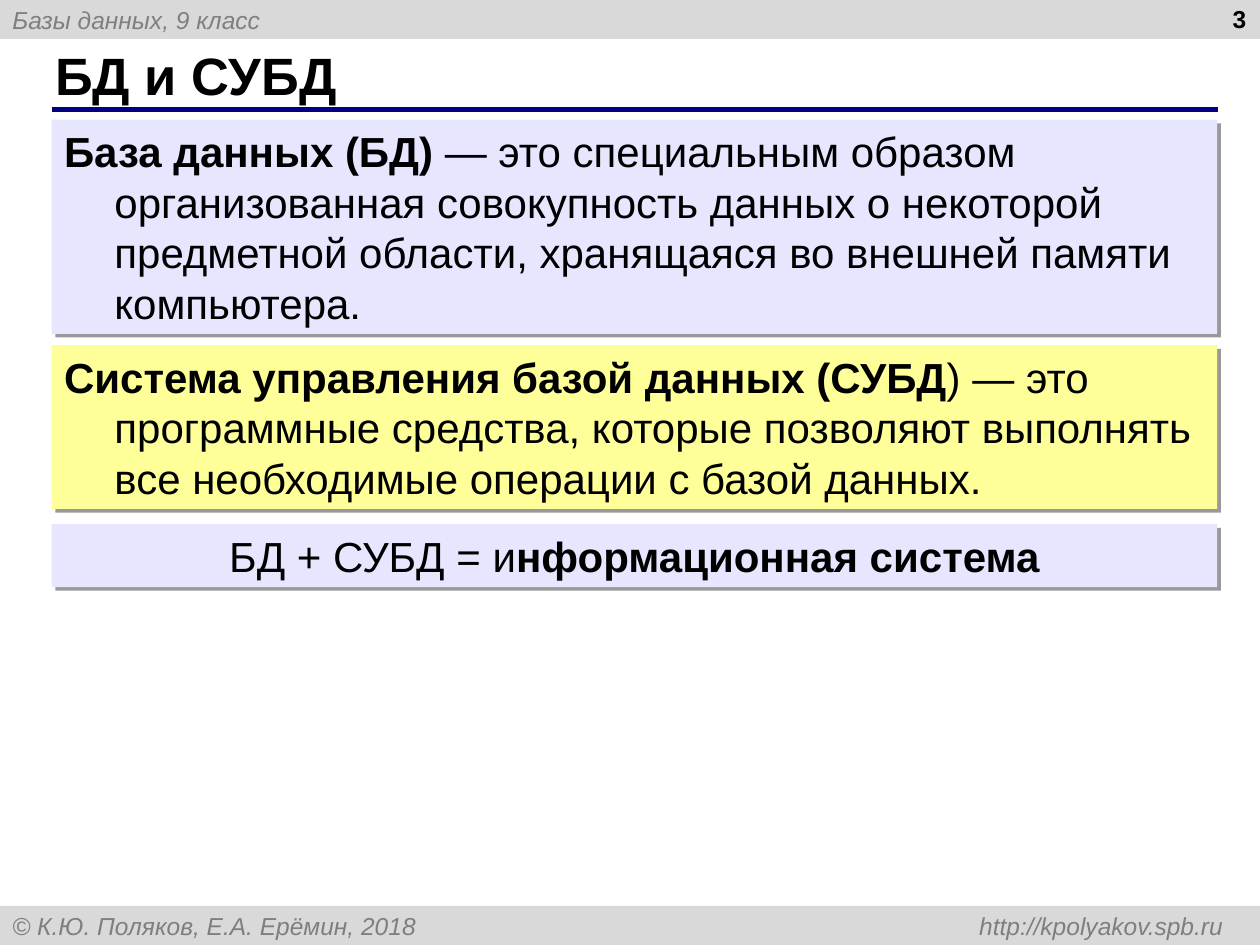
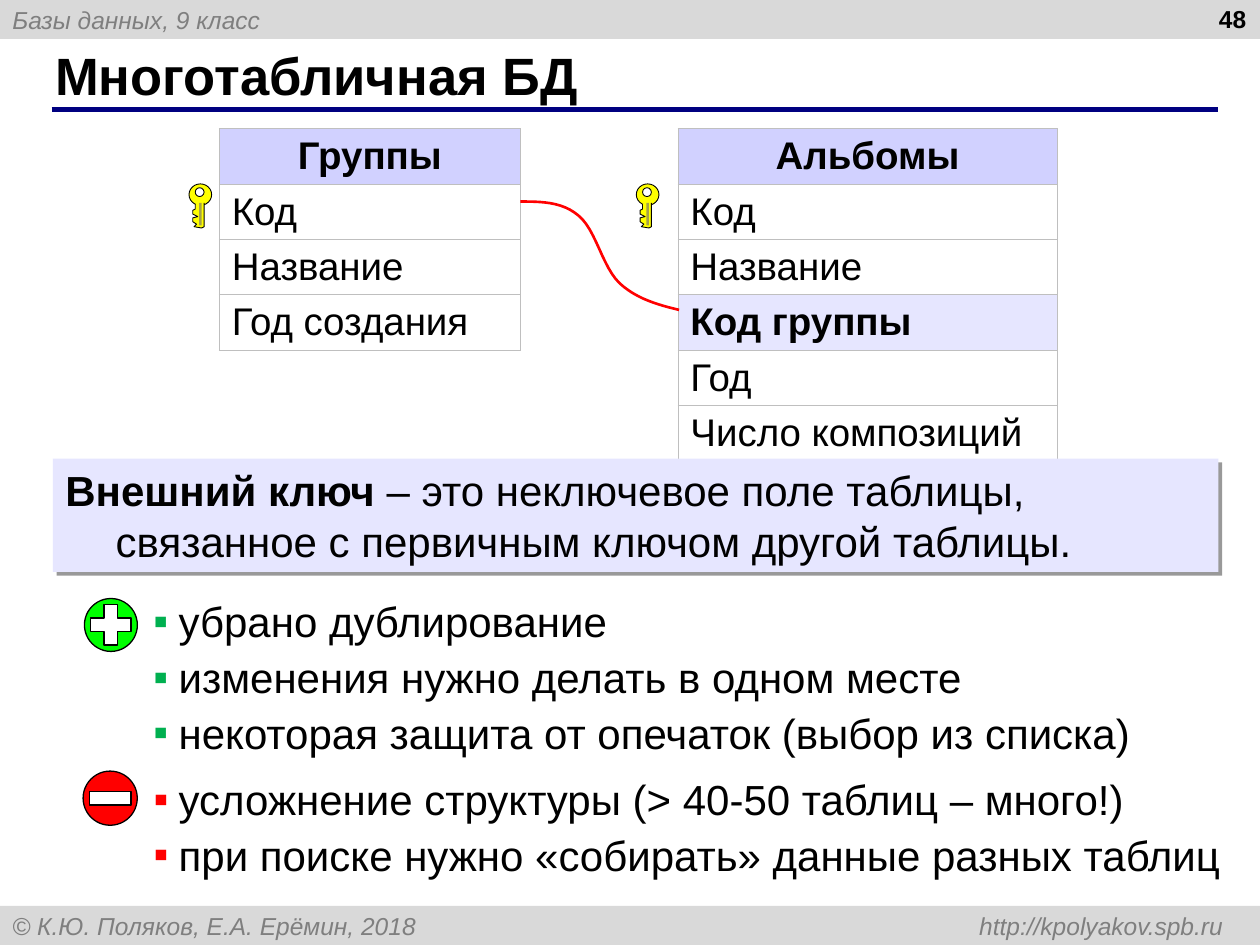
from dataclasses import dataclass
from lxml.etree import SubElement
from pptx import Presentation
from pptx.dml.color import RGBColor
from pptx.enum.shapes import MSO_CONNECTOR, MSO_SHAPE
from pptx.enum.text import MSO_ANCHOR, MSO_AUTO_SIZE, PP_ALIGN
from pptx.oxml import parse_xml
from pptx.oxml.ns import nsdecls, qn
from pptx.util import Inches, Pt


@dataclass(frozen=True)
class Theme:
    font: str = "Arial"
    ink: str = "000000"
    white: str = "FFFFFF"
    band: str = "D9D9D9"
    muted: str = "7F7F7F"
    navy: str = "000080"
    lilac: str = "E6E6FF"
    head: str = "D1D1FF"
    cream: str = "FFFF99"
    grid: str = "BFBFBF"
    gold: str = "FFFF00"
    groove: str = "A5A149"
    red: str = "FF0000"
    lime: str = "00FF00"
    green: str = "00B050"
    title: int = 30
    body: int = 24
    cell: int = 22
    small: int = 14


T = Theme()
ROW = 0.44
SIGN = 0.75
STEM = [(0.12, 0.15), (0.12, 0.34), (0.1, 0.35), (0.04, 0.34), (0.06, 0.32),
        (0.03, 0.3), (0.03, 0.27), (0.07, 0.26), (0.03, 0.24), (0.03, 0.21),
        (0.05, 0.2), (0.05, 0.16)]


def rgb(code):
    return RGBColor.from_string(code)


def paint(shape, fill=None, line=None, width=SIGN):
    shape.shadow.inherit = False
    if fill:
        shape.fill.solid()
        shape.fill.fore_color.rgb = rgb(fill)
    else:
        shape.fill.background()
    if line:
        shape.line.color.rgb = rgb(line)
        shape.line.width = Pt(width)
    else:
        shape.line.fill.background()
    return shape


def draw(slide, kind, box, fill, line=None, width=SIGN):
    shape = slide.shapes.add_shape(kind, *map(Inches, box))
    return paint(shape, fill, line, width)


def trace(slide, points, fill, line, width):
    """Draw an open outline through points given in inches."""
    first, *rest = [(Inches(x), Inches(y)) for x, y in points]
    pen = slide.shapes.build_freeform(*first)
    pen.add_line_segments(rest, close=False)
    return paint(pen.convert_to_shape(), fill, line, width)


def write(para, text, size, color=T.ink, bold=False, italic=False):
    run = para.add_run()
    run.text = text
    font = run.font
    font.name, font.size = T.font, Pt(size)
    font.bold, font.italic = bold, italic
    font.color.rgb = rgb(color)


def indent(para, depth):
    """Hang the first line to the left of the rest."""
    props = para._p.get_or_add_pPr()
    props.set("marL", str(Inches(depth)))
    props.set("indent", str(-Inches(depth)))
    return props


def frame(shape, anchor):
    text = shape.text_frame
    text.word_wrap = True
    text.vertical_anchor = anchor
    return text


def label(slide, box, anchor=MSO_ANCHOR.TOP):
    return frame(slide.shapes.add_textbox(*map(Inches, box)), anchor)


def band(slide, top, text, tab=None):
    bar = draw(slide, MSO_SHAPE.RECTANGLE, (0, top, 10, 0.31), T.band)
    para = frame(bar, MSO_ANCHOR.MIDDLE).paragraphs[0]
    para.alignment = PP_ALIGN.LEFT
    if tab:
        tabs = SubElement(para._p.get_or_add_pPr(), qn("a:tabLst"))
        SubElement(tabs, qn("a:tab"), pos=str(Inches(tab)), algn="r")
    write(para, text, T.small, T.muted, italic=True)


def rule(slide, left, right, top):
    line = slide.shapes.add_connector(
        MSO_CONNECTOR.STRAIGHT, *map(Inches, (left, top, right, top)))
    line.line.color.rgb = rgb(T.navy)
    line.line.width = Pt(3)
    SubElement(line._element.spPr, qn("a:effectLst"))


def page(deck, title, number):
    """Add a slide with the shared bands, title and page number."""
    slide = deck.slides.add_slide(deck.slide_layouts[6])
    band(slide, 0, "Базы данных, 9 класс")
    band(slide, 7.19, "© К.Ю. Поляков, Е.А. Ерёмин, 2018 \thttp://kpolyakov.spb.ru", 9.61)
    rule(slide, 0.41, 9.67, 0.87)
    name = label(slide, (0.34, 0.33, 9.16, 0.52), MSO_ANCHOR.MIDDLE)
    write(name.paragraphs[0], title, T.title, bold=True)
    para = label(slide, (7.66, -0.02, 2.33, 0.52)).paragraphs[0]
    para.alignment = PP_ALIGN.RIGHT
    write(para, str(number), T.small, bold=True)
    return slide


def card(slide, left, top, height, fill, runs, align=PP_ALIGN.LEFT):
    """Add a shadowed box; runs are (text, bold) pairs."""
    shape = draw(slide, MSO_SHAPE.RECTANGLE, (left, top, 9.25, height), fill)
    glow = SubElement(shape._element.spPr.find(qn("a:effectLst")), qn("a:outerShdw"),
                      dist=str(Pt(3)), dir="2700000", algn="tl", rotWithShape="0")
    tint = SubElement(glow, qn("a:srgbClr"), val=T.ink)
    SubElement(tint, qn("a:alpha"), val="40000")
    text = frame(shape, MSO_ANCHOR.TOP)
    text.auto_size = MSO_AUTO_SIZE.SHAPE_TO_FIT_TEXT
    para = text.paragraphs[0]
    para.alignment = align
    indent(para, 0.4)
    for words, bold in runs:
        write(para, words, T.body, bold=bold)


def border(cell):
    props = cell._tc.get_or_add_tcPr()
    for spot, side in enumerate(("L", "R", "T", "B")):
        props.insert(spot, parse_xml(
            f'<a:ln{side} w="{Pt(0.45)}" {nsdecls("a")}><a:solidFill>'
            f'<a:srgbClr val="{T.grid}"/></a:solidFill></a:ln{side}>'))


def entity(slide, left, width, rows, foreign=None):
    """Add a one-column table of field names under a header."""
    box = map(Inches, (left, 1.02, width, ROW * len(rows)))
    table = slide.shapes.add_table(len(rows), 1, *box).table
    table.first_row = table.horz_banding = False
    for i, text in enumerate(rows):
        table.rows[i].height = Inches(ROW)
        cell = table.cell(i, 0)
        cell.margin_bottom = Inches(0.02)
        tint = T.head if i == 0 else T.lilac if text == foreign else None
        if tint:
            cell.fill.solid()
            cell.fill.fore_color.rgb = rgb(tint)
        else:
            cell.fill.background()
        border(cell)
        para = cell.text_frame.paragraphs[0]
        para.alignment = PP_ALIGN.LEFT if i else PP_ALIGN.CENTER
        write(para, text, T.cell, bold=bool(tint))


def key(slide, left, top):
    draw(slide, MSO_SHAPE.OVAL, (left, top, 0.18, 0.17), T.gold, T.ink, 0.5)
    draw(slide, MSO_SHAPE.OVAL, (left + 0.05, top + 0.03, 0.07, 0.07), T.white, T.ink, 0.5)
    trace(slide, [(left + x, top + y) for x, y in STEM], T.gold, T.ink, 0.5)
    draw(slide, MSO_SHAPE.RECTANGLE, (left + 0.08, top + 0.15, 0.02, 0.18), T.groove)


def curve(start, *arcs, steps=12):
    """Return points along a chain of cubic arcs."""
    points = [start]
    for b, c, d in arcs:
        a = points[-1]
        for i in range(1, steps + 1):
            t = i / steps
            u = 1 - t
            points.append(tuple(
                u**3 * p + 3 * u * u * t * q + 3 * u * t * t * r + t**3 * s
                for p, q, r, s in zip(a, b, c, d)))
    return points


def plus(slide):
    draw(slide, MSO_SHAPE.OVAL, (0.67, 4.75, 0.42, 0.42), T.lime, T.ink)
    cross = draw(slide, MSO_SHAPE.CROSS, (0.72, 4.8, 0.32, 0.32), T.white, T.ink)
    cross.adjustments[0] = 0.33


def minus(slide):
    draw(slide, MSO_SHAPE.OVAL, (0.66, 6.12, 0.43, 0.43), T.red, T.ink)
    draw(slide, MSO_SHAPE.RECTANGLE, (0.71, 6.28, 0.33, 0.11), T.white, T.ink)


def points(slide, box, color, lines):
    """Add a list with coloured square bullets."""
    text = label(slide, box)
    for i, line in enumerate(lines):
        para = text.add_paragraph() if i else text.paragraphs[0]
        para.space_before = Pt(3)
        props = indent(para, 0.2)
        SubElement(SubElement(props, qn("a:buClr")), qn("a:srgbClr"), val=color)
        SubElement(props, qn("a:buFont"), typeface=T.font)
        SubElement(props, qn("a:buChar"), char="▪")
        write(para, line, T.body)


def terms(deck):
    slide = page(deck, "БД и СУБД", 3)
    card(slide, 0.41, 0.95, 1.7, T.lilac, [
        ("База данных (БД)", True),
        (" — это специальным образом организованная совокупность данных о некоторой "
         "предметной области, хранящаяся во внешней памяти компьютера.", False)])
    card(slide, 0.41, 2.74, 1.3, T.cream, [
        ("Система управления базой данных (СУБД", True),
        (") — это программные средства, которые позволяют выполнять все необходимые "
         "операции с базой данных.", False)])
    card(slide, 0.41, 4.16, 0.5, T.lilac, [
        ("БД + СУБД = и", False), ("нформационная система", True)], PP_ALIGN.CENTER)


def links(deck):
    slide = page(deck, "Многотабличная БД", 48)
    entity(slide, 1.74, 2.39, ["Группы", "Код", "Название", "Год создания"])
    entity(slide, 5.38, 3.01, ["Альбомы", "Код", "Название", "Код группы", "Год",
                               "Число композиций"], "Код группы")
    for left in (1.5, 5.05):
        key(slide, left, 1.46)
    link = curve((5.39, 2.46),
                 ((5.22, 2.42), (5.05, 2.37), (4.92, 2.25)),
                 ((4.78, 2.12), (4.73, 1.82), (4.59, 1.71)),
                 ((4.46, 1.6), (4.29, 1.6), (4.13, 1.6)))
    trace(slide, link, None, T.red, 1.5)
    card(slide, 0.42, 3.64, 0.9, T.lilac, [
        ("Внешний ключ ", True),
        ("– это неключевое поле таблицы, связанное с первичным ключом другой таблицы.",
         False)])
    plus(slide)
    points(slide, (1.12, 4.68, 8.34, 0.93), T.green, [
        "убрано дублирование",
        "изменения нужно делать в одном месте",
        "некоторая защита от опечаток (выбор из списка)"])
    minus(slide)
    points(slide, (1.12, 6.09, 9.02, 0.92), T.red, [
        "усложнение структуры (> 40-50 таблиц – много!)",
        "при поиске нужно «собирать» данные разных таблиц"])


def main():
    deck = Presentation()
    deck.slide_width, deck.slide_height = Inches(10), Inches(7.5)
    terms(deck)
    links(deck)
    deck.save("out.pptx")


if __name__ == "__main__":
    main()
